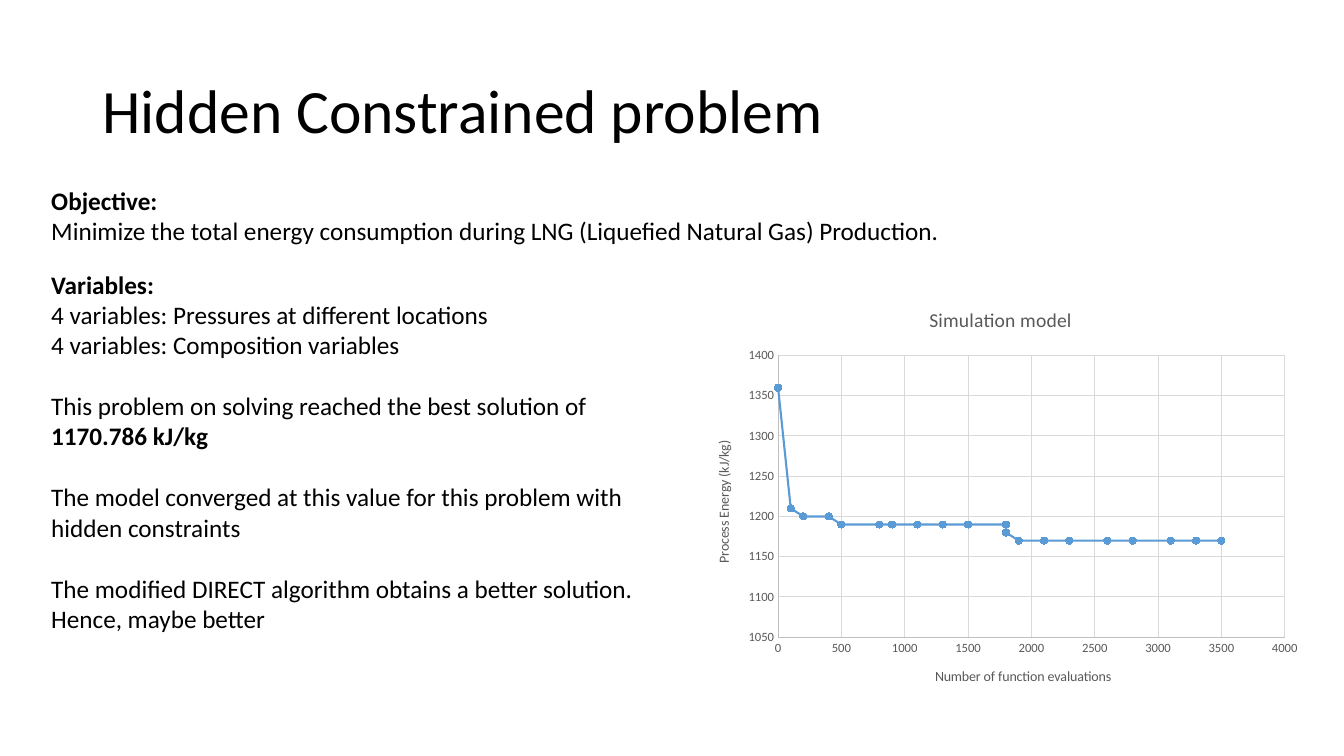
from dataclasses import dataclass

from lxml.etree import SubElement
from pptx import Presentation
from pptx.chart.axis import ValueAxis
from pptx.chart.chart import Chart
from pptx.chart.data import XyChartData
from pptx.dml.color import RGBColor
from pptx.enum.chart import XL_CHART_TYPE as ChartType
from pptx.enum.chart import XL_MARKER_STYLE as MarkerStyle
from pptx.enum.chart import XL_TICK_MARK as TickMark
from pptx.enum.text import MSO_ANCHOR as Anchor
from pptx.oxml.ns import qn
from pptx.slide import Slide
from pptx.text.text import Font
from pptx.util import Pt

FONT = "Calibri"
COLORS = {
    "text": "000000",
    "label": "595959",
    "axis": "BFBFBF",
    "grid": "D9D9D9",
    "energy": "5B9BD5",
}
LINE_HEIGHT = 22


@dataclass
class Line:
    text: str
    bold: bool = False
    bold_tail: str = ""
    gap_before: float = 0


@dataclass
class Block:
    left: float
    top: float
    width: float
    height: float
    lines: list[Line]
    size: float = 18
    anchor: Anchor = Anchor.TOP
    line_spacing: float = 1.0


@dataclass
class AxisStyle:
    title: str
    low: float
    high: float
    step: float


BLOCKS = [
    Block(66, 28.75, 828, 104.4, [Line("Hidden Constrained problem")],
          size=44, anchor=Anchor.MIDDLE, line_spacing=0.9),
    Block(29.5, 128.9, 804, 51, [
        Line("Objective:", bold=True),
        Line("Minimize the total energy consumption during LNG "
             "(Liquefied Natural Gas) Production."),
    ]),
    Block(29.5, 188.6, 448.5, 269.5, [
        Line("Variables:", bold=True),
        Line("4 variables: Pressures at different locations"),
        Line("4 variables: Composition variables"),
        Line("This problem on solving reached the best solution of ",
             bold_tail="1170.786 kJ/kg", gap_before=LINE_HEIGHT),
        Line("The model converged at this value for this problem with "
             "hidden constraints", gap_before=LINE_HEIGHT),
        Line("The modified DIRECT algorithm obtains a better solution. "
             "Hence, maybe better", gap_before=LINE_HEIGHT),
    ]),
]

EVALUATIONS = [0, 100, 200, 200, 400, 500, 500, 800, 900, 1100, 1300, 1500,
               1800, 1800, 1900, 2100, 2300, 2600, 2600, 2800, 3100, 3300, 3500]
ENERGIES = [1360, 1210] + [1200] * 3 + [1190] * 8 + [1180] + [1170] * 9
PLOT_LAYOUT = {"x": 0.14, "y": 0.16, "w": 0.82, "h": 0.68}


def rgb(name: str) -> RGBColor:
    return RGBColor.from_string(COLORS[name])


def style_font(font: Font, size: float, color: str, bold: bool = False) -> None:
    font.name = FONT
    font.size = Pt(size)
    font.bold = bold
    font.color.rgb = rgb(color)


def draw_block(slide: Slide, block: Block) -> None:
    box = slide.shapes.add_textbox(
        Pt(block.left), Pt(block.top), Pt(block.width), Pt(block.height))
    frame = box.text_frame
    frame.word_wrap = True
    frame.vertical_anchor = block.anchor
    frame.text = "\n".join(line.text for line in block.lines)
    for paragraph, line in zip(frame.paragraphs, block.lines):
        paragraph.space_before = Pt(line.gap_before)
        paragraph.line_spacing = block.line_spacing
        style_font(paragraph.runs[0].font, block.size, "text", line.bold)
        if line.bold_tail:
            tail = paragraph.add_run()
            tail.text = line.bold_tail
            style_font(tail.font, block.size, "text", True)


def style_axis(axis: ValueAxis, style: AxisStyle) -> None:
    axis.minimum_scale = style.low
    axis.maximum_scale = style.high
    axis.major_unit = style.step
    axis.major_tick_mark = axis.minor_tick_mark = TickMark.NONE
    axis.has_major_gridlines = True
    style_font(axis.tick_labels.font, 9, "label")
    for line, color in ((axis.format.line, "axis"),
                        (axis.major_gridlines.format.line, "grid")):
        line.color.rgb = rgb(color)
        line.width = Pt(0.75)
    title = axis.axis_title.text_frame
    title.text = style.title
    style_font(title.paragraphs[0].runs[0].font, 10, "label")


def place_plot(chart: Chart) -> None:
    plot_area = chart._chartSpace.find(".//" + qn("c:plotArea"))
    for old_layout in plot_area.findall(qn("c:layout")):
        plot_area.remove(old_layout)
    layout = SubElement(plot_area, qn("c:layout"))
    plot_area.insert(0, layout)
    manual = SubElement(layout, qn("c:manualLayout"))
    settings = {"layoutTarget": "inner", "xMode": "edge", "yMode": "edge",
                **PLOT_LAYOUT}
    for tag, value in settings.items():
        SubElement(manual, qn(f"c:{tag}")).set("val", str(value))


def draw_energy_chart(slide: Slide) -> None:
    data = XyChartData()
    points = data.add_series("Series 1")
    for evaluations, energy in zip(EVALUATIONS, ENERGIES):
        points.add_data_point(evaluations, energy)
    chart = slide.shapes.add_chart(
        ChartType.XY_SCATTER_SMOOTH,
        Pt(494), Pt(206.6), Pt(441.4), Pt(296), data).chart
    style_font(chart.font, 10, "text")
    chart.has_legend = False
    chart.has_title = True
    title = chart.chart_title.text_frame
    title.text = "Simulation model"
    style_font(title.paragraphs[0].runs[0].font, 14, "label")
    chart.plots[0].vary_by_categories = False

    style_axis(chart.category_axis,
               AxisStyle("Number of function evaluations", 0, 4000, 500))
    style_axis(chart.value_axis,
               AxisStyle("Process Energy (kJ/kg)", 1050, 1400, 50))

    energy_curve = chart.plots[0].series[0]
    energy_curve.smooth = True
    energy_curve.format.line.color.rgb = rgb("energy")
    energy_curve.format.line.width = Pt(1.5)
    marker = energy_curve.marker
    marker.style = MarkerStyle.CIRCLE
    marker.size = 5
    marker.format.fill.solid()
    marker.format.fill.fore_color.rgb = rgb("energy")
    marker.format.line.color.rgb = rgb("energy")
    place_plot(chart)


def main() -> None:
    deck = Presentation()
    deck.slide_width, deck.slide_height = Pt(960), Pt(540)
    slide = deck.slides.add_slide(deck.slide_layouts[6])
    for block in BLOCKS:
        draw_block(slide, block)
    draw_energy_chart(slide)
    deck.save("out.pptx")


if __name__ == "__main__":
    main()
